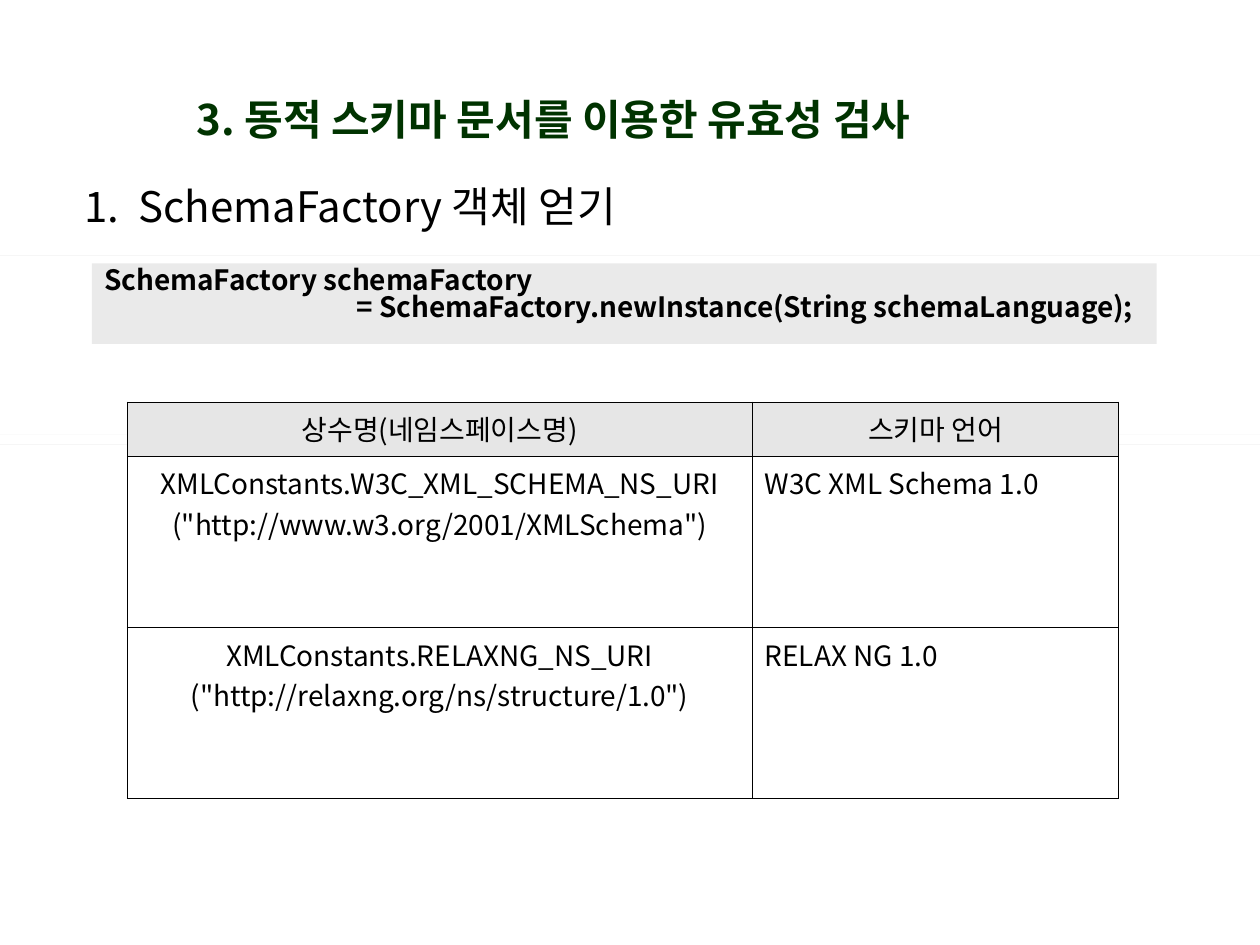
import pptx
import pptx.util
import pptx.dml.color
import pptx.enum.text
import pptx.enum.shapes
import pptx.oxml.ns
from lxml import etree

RGB = pptx.dml.color.RGBColor
GREEN = RGB(0x00, 0x33, 0x00)
BLACK = RGB(0x00, 0x00, 0x00)
GRAY = RGB(0xE6, 0xE6, 0xE6)
PALE = RGB(0xEA, 0xEA, 0xEA)
FONT = "Noto Sans CJK KR"
LEFT = pptx.enum.text.PP_ALIGN.LEFT
MID = pptx.enum.text.PP_ALIGN.CENTER
TOP = pptx.enum.text.MSO_ANCHOR.TOP
RECT = pptx.enum.shapes.MSO_SHAPE.RECTANGLE
COLS, ROWS = 100, 75
UNIT = pptx.util.Inches(10) // COLS

HEAD = ("상수명(네임스페이스명)", "스키마 언어")
BODY = (
    ('XMLConstants.W3C_XML_SCHEMA_NS_URI ("http://www.w3.org/2001/XMLSchema")',
     "W3C XML Schema 1.0"),
    ('XMLConstants.RELAXNG_NS_URI ("http://relaxng.org/ns/structure/1.0")',
     "RELAX NG 1.0"),
)


def span(*units):
    return [pptx.util.Emu(round(n * UNIT)) for n in units]


def node(base, tag, **attrs):
    names = {key: str(val) for key, val in attrs.items()}
    return etree.SubElement(base, pptx.oxml.ns.qn(tag), names)


def add_run(para, text, size, color=BLACK, bold=False):
    run = para.add_run()
    run.text = text
    font = run.font
    font.size = pptx.util.Pt(size)
    font.bold = bold
    font.name = FONT
    font.color.rgb = color
    node(font._element, "a:ea", typeface=FONT)


def add_tabs(para, stops):
    tabs = node(para._p.get_or_add_pPr(), "a:tabLst")
    for stop in span(*stops):
        node(tabs, "a:tab", pos=stop, algn="l")


def add_box(slide, place, fill):
    box = slide.shapes.add_shape(RECT, *span(*place))
    box.shadow.inherit = False
    box.fill.solid()
    box.fill.fore_color.rgb = fill
    box.line.fill.background()
    return box


def set_title(slide, text):
    title = slide.shapes.title
    title.left, title.top, title.width, title.height = span(14.6, 6, 65.4, 6.9)
    frame = title.text_frame
    frame.word_wrap = True
    frame.vertical_anchor = pptx.enum.text.MSO_ANCHOR.MIDDLE
    para = frame.paragraphs[0]
    para.alignment = LEFT
    add_run(para, text, 24, GREEN, True)


def add_step(slide, mark, text):
    box = slide.shapes.add_textbox(*span(5.7, 13.8, 45.8, 5))
    box.text_frame.word_wrap = True
    para = box.text_frame.paragraphs[0]
    add_tabs(para, [4.3])
    add_run(para, mark + "\t" + text, 24)


def add_code(slide, lines):
    frame = add_box(slide, (7.3, 20.9, 84.5, 6.4), PALE).text_frame
    frame.word_wrap = True
    frame.vertical_anchor = TOP
    for pos, line in enumerate(lines):
        para = frame.add_paragraph() if pos else frame.paragraphs[0]
        para.alignment = LEFT
        para.line_spacing = 0.8
        add_tabs(para, [10, 20])
        add_run(para, line, 16, BLACK, True)


def set_cell(cell, text, align, fill=None):
    props = cell._tc.get_or_add_tcPr()
    for side in "LRTB":
        edge = node(props, "a:ln" + side, w=pptx.util.Pt(0.45))
        node(node(edge, "a:solidFill"), "a:srgbClr", val=BLACK)
    if fill is None:
        cell.fill.background()
    else:
        cell.fill.solid()
        cell.fill.fore_color.rgb = fill
    cell.vertical_anchor = TOP
    para = cell.text_frame.paragraphs[0]
    para.alignment = align
    add_run(para, text, 16)


def add_grid(slide):
    wides, highs = span(49.6, 29.1), span(4.3, 13.6, 13.6)
    place = span(10.1, 31.9, 78.7, 31.5)
    table = slide.shapes.add_table(len(highs), len(wides), *place).table
    table.first_row = False
    table.horz_banding = False
    for col, wide in zip(table.columns, wides):
        col.width = wide
    for row, high in zip(table.rows, highs):
        row.height = high
    for pos, text in enumerate(HEAD):
        set_cell(table.cell(0, pos), text, MID, GRAY)
    for row, texts in enumerate(BODY, 1):
        for pos, (text, align) in enumerate(zip(texts, (MID, LEFT))):
            set_cell(table.cell(row, pos), text, align)


def main():
    deck = pptx.Presentation()
    deck.slide_width, deck.slide_height = span(COLS, ROWS)
    slide = deck.slides.add_slide(deck.slide_layouts[5])
    set_title(slide, "3. 동적 스키마 문서를 이용한 유효성 검사")
    for row in (20.3, 34.5, 35.3):
        add_box(slide, (0, row, COLS, 0), GRAY)
    add_code(slide, (
        "SchemaFactory schemaFactory",
        "\t\t= SchemaFactory.newInstance(String schemaLanguage);",
    ))
    add_grid(slide)
    add_step(slide, "1.", "SchemaFactory 객체 얻기")
    deck.save("out.pptx")


if __name__ == "__main__":
    main()
